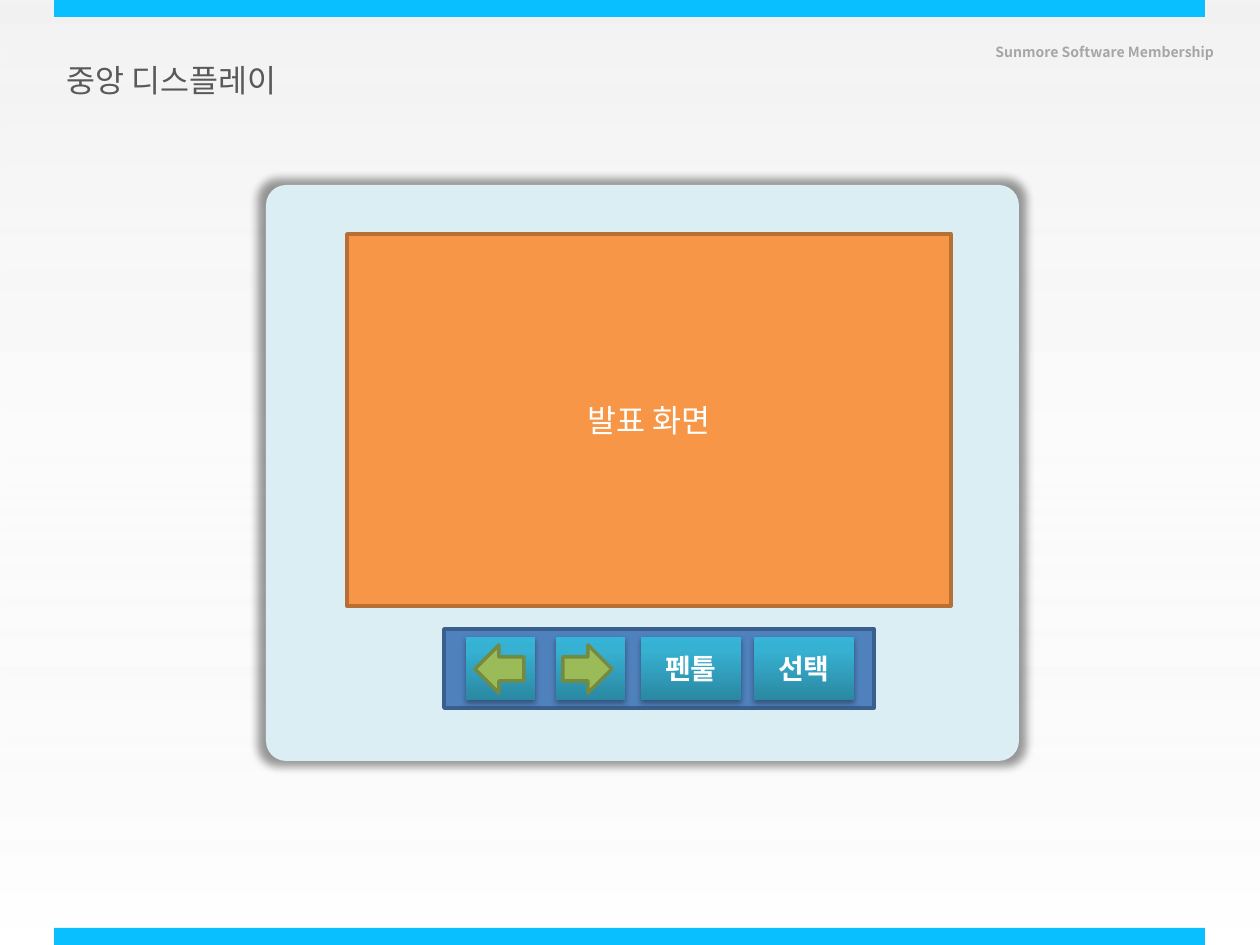
from dataclasses import dataclass
from typing import Optional

from lxml import etree
from pptx import Presentation
from pptx.dml.color import RGBColor
from pptx.enum.shapes import MSO_SHAPE
from pptx.enum.text import MSO_ANCHOR, PP_ALIGN
from pptx.oxml.ns import qn
from pptx.util import Emu, Pt

RECTANGLE = MSO_SHAPE.RECTANGLE
ROUNDED = MSO_SHAPE.ROUNDED_RECTANGLE
LEFT_ARROW = MSO_SHAPE.LEFT_ARROW
TOP, MIDDLE = MSO_ANCHOR.TOP, MSO_ANCHOR.MIDDLE
LEFT, CENTER = PP_ALIGN.LEFT, PP_ALIGN.CENTER

PX_PER_INCH = 126
FONT = "Noto Sans CJK KR"
COLORS = {
    "bar": "09BFFF", "caption": "A6A6A6", "title": "595959", "white": "FFFFFF",
    "panel": "DBEEF4", "screen": "F79646", "screen_edge": "B76F34",
    "toolbar": "4F81BD", "toolbar_edge": "3A5F8C",
    "arrow": "9BBB59", "arrow_edge": "738A42", "shadow": "000000",
    "mist": "D9D9D9", "haze": "F2F2F2",
    "button_low": "2A88A2", "button_mid": "37B1D2", "button_high": "34B4D6",
}


@dataclass(frozen=True)
class Gradient:
    angle: int
    stops: tuple


@dataclass(frozen=True)
class Shadow:
    blur: float
    distance: float
    direction: int
    alpha: int
    scale: int = 100


@dataclass(frozen=True)
class Label:
    text: str
    size: int
    color: str = "white"
    bold: bool = False
    align: int = CENTER
    anchor: int = MIDDLE


@dataclass(frozen=True)
class Block:
    left: int
    top: int
    width: int
    height: int
    fill: str = ""
    edge: str = ""
    kind: int = RECTANGLE
    rotation: int = 0
    radius: Optional[float] = None
    gradient: Optional[Gradient] = None
    shadow: Optional[Shadow] = None
    label: Optional[Label] = None


BACKDROP = Gradient(270, ((0, "mist", 34), (50, "haze", 25), (100, "white", 100)))
BUTTON_FILL = Gradient(90, ((0, "button_low", 100), (80, "button_mid", 100),
                            (100, "button_high", 100)))
PANEL_SHADOW = Shadow(5, 0, 0, 40, 102)
BUTTON_SHADOW = Shadow(3.1, 1.8, 90, 35)


def px(value: int) -> Emu:
    return Emu(round(value * 914400 / PX_PER_INCH))


def rgb(name: str) -> RGBColor:
    return RGBColor.from_string(COLORS[name])


def add_color(parent, name: str, alpha: int) -> None:
    color = etree.SubElement(parent, qn("a:srgbClr"), val=COLORS[name])
    if alpha < 100:
        etree.SubElement(color, qn("a:alpha"), val=str(alpha * 1000))


def apply_gradient(shape, gradient: Gradient) -> None:
    shape.fill.gradient()
    shape.fill.gradient_angle = gradient.angle
    stop_list = shape.element.spPr.find(".//" + qn("a:gsLst"))
    for stop in list(stop_list):
        stop_list.remove(stop)
    for position, name, alpha in gradient.stops:
        stop = etree.SubElement(stop_list, qn("a:gs"), pos=str(position * 1000))
        add_color(stop, name, alpha)


def apply_shadow(shape, shadow: Shadow) -> None:
    effects = shape.element.spPr.find(qn("a:effectLst"))
    scale = str(shadow.scale * 1000)
    outer = etree.SubElement(
        effects, qn("a:outerShdw"), blurRad=str(Pt(shadow.blur)),
        dist=str(Pt(shadow.distance)), dir=str(shadow.direction * 60000),
        sx=scale, sy=scale, algn="ctr", rotWithShape="0")
    add_color(outer, shadow.color if hasattr(shadow, "color") else "shadow", shadow.alpha)


def write_label(shape, label: Label) -> None:
    frame = shape.text_frame
    frame.word_wrap = True
    frame.vertical_anchor = label.anchor
    para = frame.paragraphs[0]
    para.alignment = label.align
    span = para.add_run()
    span.text = label.text
    formats = {"size": Pt(label.size), "bold": label.bold, "name": FONT}
    span.font.fill.solid()
    span.font.fill.fore_color.rgb = rgb(label.color)
    for attribute, value in formats.items():
        setattr(span.font, attribute, value)
    etree.SubElement(span.font._element, qn("a:ea"), typeface=FONT)


def draw_block(page, block: Block):
    shape = page.shapes.add_shape(block.kind, px(block.left), px(block.top),
                                  px(block.width), px(block.height))
    shape.shadow.inherit = False
    shape.rotation = block.rotation
    if block.radius is not None:
        shape.adjustments[0] = block.radius
    if block.gradient:
        apply_gradient(shape, block.gradient)
    else:
        shape.fill.solid()
        shape.fill.fore_color.rgb = rgb(block.fill)
    if block.edge:
        shape.line.color.rgb = rgb(block.edge)
        shape.line.width = Pt(2)
    else:
        shape.line.fill.background()
    if block.shadow:
        apply_shadow(shape, block.shadow)
    if block.label:
        write_label(shape, block.label)
    return shape


def button(left: int, width: int, text: str = "") -> Block:
    label = Label(text, 16, bold=True) if text else None
    return Block(left, 637, width, 63, gradient=BUTTON_FILL,
                 shadow=BUTTON_SHADOW, label=label)


def arrow(left: int, rotation: int = 0) -> Block:
    return Block(left, 645, 49, 48, "arrow", "arrow_edge", LEFT_ARROW, rotation)


def main() -> None:
    deck = Presentation()
    deck.slide_width, deck.slide_height = px(1260), px(945)
    page = deck.slides.add_slide(deck.slide_layouts[5])

    backdrop = draw_block(page, Block(0, 0, 1260, 945, gradient=BACKDROP))
    title = page.shapes.title
    backdrop.element.addnext(title.element)
    places = {"left": 54, "top": 55, "width": 586, "height": 50}
    for attribute, value in places.items():
        setattr(title, attribute, px(value))
    write_label(title, Label("중앙 디스플레이", 18, "title", align=LEFT, anchor=TOP))

    for top in (0, 928):
        draw_block(page, Block(54, top, 1151, 17, "bar"))
    caption = page.shapes.add_textbox(px(983), px(37), px(311), px(30))
    write_label(caption, Label("Sunmore Software Membership", 8, "caption", True, LEFT, TOP))

    blocks = (
        Block(266, 185, 753, 576, "panel", kind=ROUNDED, radius=0.035, shadow=PANEL_SHADOW),
        Block(347, 234, 604, 372, "screen", "screen_edge", label=Label("발표 화면", 18)),
        Block(444, 629, 430, 79, "toolbar", "toolbar_edge"),
        button(466, 69),
        arrow(475),
        button(556, 69),
        arrow(563, 180),
        button(641, 100, "펜툴"),
        button(754, 100, "선택"),
    )
    for block in blocks:
        draw_block(page, block)
    deck.save("out.pptx")


if __name__ == "__main__":
    main()
